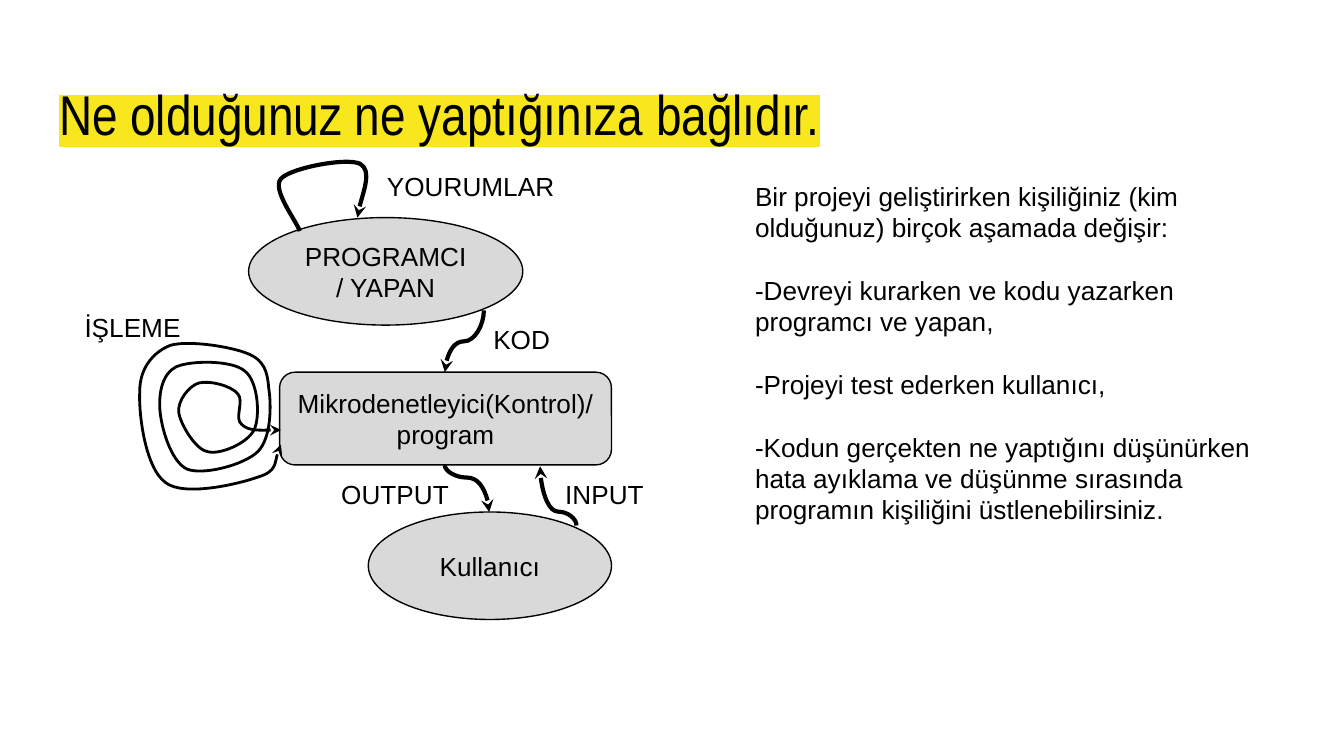
from lxml.etree import SubElement
from pptx import Presentation
from pptx.dml.color import RGBColor
from pptx.enum.shapes import MSO_CONNECTOR, MSO_SHAPE
from pptx.enum.text import MSO_ANCHOR, MSO_AUTO_SIZE, PP_ALIGN
from pptx.oxml.ns import qn
from pptx.util import Pt

THEME = {
    "ink": "000000", "node": "D9D9D9", "mark": "F8E71C",
    "font": "Arial", "title_font": "Arial Narrow",
    "title": 30, "text": 14, "outline": 0.75, "arrow": 2.25, "spiral": 1.5,
}
INSET = 7.2
LABEL_H = 46.1

TITLE = ("Ne olduğunuz ne yaptığınıza bağlıdır.", (24.5, 35.3, 671, 45.4))
BODY_BOX = (397.4, 89.3, 301, 295.2)
BODY = [
    "Bir projeyi geliştirirken kişiliğiniz (kim olduğunuz) birçok aşamada değişir:",
    "-Devreyi kurarken ve kodu yazarken programcı ve yapan,",
    "-Projeyi test ederken kullanıcı,",
    "-Kodun gerçekten ne yaptığını düşünürken hata ayıklama ve düşünme "
    "sırasında programın kişiliğini üstlenebilirsiniz.",
]
NODES = [
    ("PROGRAMCI / YAPAN", MSO_SHAPE.OVAL, (133.2, 116.6, 146.9, 57.6)),
    ("Kullanıcı", MSO_SHAPE.OVAL, (197.3, 274.3, 130.3, 57.6)),
    ("Mikrodenetleyici(Kontrol)/ program", MSO_SHAPE.ROUNDED_RECTANGLE,
     (149.8, 199.4, 177.8, 49.7)),
]
# start, end, position of the bend
FLOWS = [
    ((308.9, 281.5), (289.4, 249.8), 0.234),
    ((238.3, 249.1), (262.1, 274.3), 0.268),
    ((259.2, 166.3), (238.3, 199.4), 0.5),
]
# text, left, top, width, paragraph format
LABELS = [
    ("OUTPUT\tINPUT", 175.7, 249.1, 178.6, {"tab": 120}),
    ("KOD", 245.5, 166.3, 82.1, {"indent": 11.7}),
    ("YOURUMLAR", 200.2, 84.2, 393.8, {}),
    ("İŞLEME", 38.2, 159.8, 74.2, {}),
]
# start point, then two control points and an end point per curve
COMMENT_LOOP = [
    (160.6, 123.8),
    (159.1, 118.8), (145.4, 101.5), (150.5, 95.8),
    (155.5, 90), (185.8, 84.2), (193, 87.8),
    (199.4, 91.4), (191.5, 112.3), (191.5, 116.6),
]
PROCESS_SPIRAL = [
    (150.5, 238.3),
    (148.3, 241.2), (148.3, 252.7), (138.2, 255.6),
    (128.2, 259.2), (98.6, 266.4), (88.6, 258.5),
    (77.8, 250.6), (74.2, 221.8), (74.9, 209.5),
    (74.9, 197.3), (82.1, 188.6), (91.4, 185),
    (101.5, 182.2), (123.8, 185.8), (132.5, 189.4),
    (141.8, 193), (143.3, 199.4), (144, 208.1),
    (145.4, 216.7), (145.4, 234.7), (138.2, 241.9),
    (131, 249.1), (108.7, 254.9), (100.1, 251.3),
    (91.4, 247), (86.4, 229), (85.7, 219.6),
    (85, 210.2), (87.1, 200.2), (94.3, 196.6),
    (102.2, 193), (124.6, 193), (131, 198.7),
    (138.2, 203.8), (139.7, 223.2), (136.1, 230.4),
    (132.5, 237.6), (117.4, 244.1), (110.9, 241.9),
    (104.4, 240.5), (96.5, 226.8), (95.8, 221),
    (95, 214.6), (101.5, 206.6), (106.6, 205.2),
    (112.3, 203.8), (123.8, 206.6), (127.4, 211),
    (131, 214.6), (125.3, 224.6), (129.6, 227.5),
    (133.2, 231.1), (146.9, 230.4), (150.5, 230.4),
]


def rgb(name):
    return RGBColor.from_string(THEME[name])


def points(values):
    return [Pt(v) for v in values]


def write(tf, paragraphs, font="font", size="text", align=PP_ALIGN.LEFT,
          anchor=MSO_ANCHOR.TOP, gap=0, indent=0, tab=None, mark=None):
    tf.word_wrap = True
    tf.auto_size = MSO_AUTO_SIZE.NONE
    tf.vertical_anchor = anchor
    tf.margin_left = tf.margin_top = tf.margin_right = tf.margin_bottom = Pt(INSET)
    for i, text in enumerate(paragraphs):
        p = tf.add_paragraph() if i else tf.paragraphs[0]
        p.alignment = align
        if i and gap:
            p.space_before = Pt(gap)
        pPr = p._p.get_or_add_pPr()
        if indent:
            pPr.set("marL", str(Pt(indent)))
        if tab:
            tabs = SubElement(pPr, qn("a:tabLst"))
            SubElement(tabs, qn("a:tab"), pos=str(Pt(tab)), algn="l")
        r = p.add_run()
        r.text = text
        r.font.size = Pt(THEME[size])
        r.font.color.rgb = rgb("ink")
        if mark:
            highlight = SubElement(r._r.get_or_add_rPr(), qn("a:highlight"))
            SubElement(highlight, qn("a:srgbClr"), val=THEME[mark])
        r.font.name = THEME[font]


def stroke(shape, width, *ends):
    shape.line.color.rgb = rgb("ink")
    shape.line.width = Pt(THEME[width])
    for end in ends:
        SubElement(shape.line._get_or_add_ln(), qn(f"a:{end}"), type="stealth")


def add_node(s, text, kind, box):
    sp = s.shapes.add_shape(kind, *points(box))
    sp.shadow.inherit = False
    sp.fill.solid()
    sp.fill.fore_color.rgb = rgb("node")
    stroke(sp, "outline")
    write(sp.text_frame, [text], align=PP_ALIGN.CENTER, anchor=MSO_ANCHOR.MIDDLE)


def add_flow(s, start, end, bend):
    """Curved arrow that leaves and arrives vertically: a turned connector."""
    (x1, y1), (x2, y2) = start, end
    cx, cy = (x1 + x2) / 2, (y1 + y2) / 2
    w, h = abs(y2 - y1), abs(x2 - x1)
    down = y2 > y1
    flip = -1 if down == (x2 > x1) else 1
    c = s.shapes.add_connector(MSO_CONNECTOR.CURVE, *points(
        (cx - flip * w / 2, cy - h / 2, cx + flip * w / 2, cy + h / 2)))
    spPr = c._element.spPr
    turn = 270 if down and flip < 0 else 90
    spPr.find(qn("a:xfrm")).set("rot", str(turn * 60000))
    guides = spPr.find(qn("a:prstGeom")).get_or_add_avLst()
    SubElement(guides, qn("a:gd"), name="adj1", fmla=f"val {round(bend * 100000)}")
    stroke(c, "arrow", "tailEnd")
    SubElement(spPr, qn("a:effectLst"))


def add_curve(s, nodes, width, *ends):
    """Freeform whose segments are regrouped by three into Bézier curves."""
    start, *rest = [points(node) for node in nodes]
    builder = s.shapes.build_freeform(*start)
    builder.add_line_segments(rest, close=False)
    sp = builder.convert_to_shape()
    sp.shadow.inherit = False
    sp.fill.background()
    stroke(sp, width, *ends)
    outline = next(sp._element.iter(qn("a:path")))
    lines = outline.findall(qn("a:lnTo"))
    for i in range(0, len(lines), 3):
        curve = SubElement(outline, qn("a:cubicBezTo"))
        for line in lines[i:i + 3]:
            curve.append(line[0])
            outline.remove(line)


def add_text(s, paragraphs, box, **fmt):
    write(s.shapes.add_textbox(*points(box)).text_frame, paragraphs, **fmt)


def main():
    prs = Presentation()
    prs.slide_width, prs.slide_height = Pt(720), Pt(405)
    s = prs.slides.add_slide(prs.slide_layouts[5])
    title = s.shapes.title
    text, box = TITLE
    title.left, title.top, title.width, title.height = points(box)
    write(title.text_frame, [text], font="title_font", size="title", mark="mark")
    for node in NODES:
        add_node(s, *node)
    for flow in FLOWS:
        add_flow(s, *flow)
    add_curve(s, COMMENT_LOOP, "arrow", "tailEnd")
    add_curve(s, PROCESS_SPIRAL, "spiral", "headEnd", "tailEnd")
    for text, x, y, w, fmt in LABELS:
        add_text(s, [text], (x, y, w, LABEL_H), **fmt)
    add_text(s, BODY, BODY_BOX, gap=16.8)
    prs.save("out.pptx")


if __name__ == "__main__":
    main()
